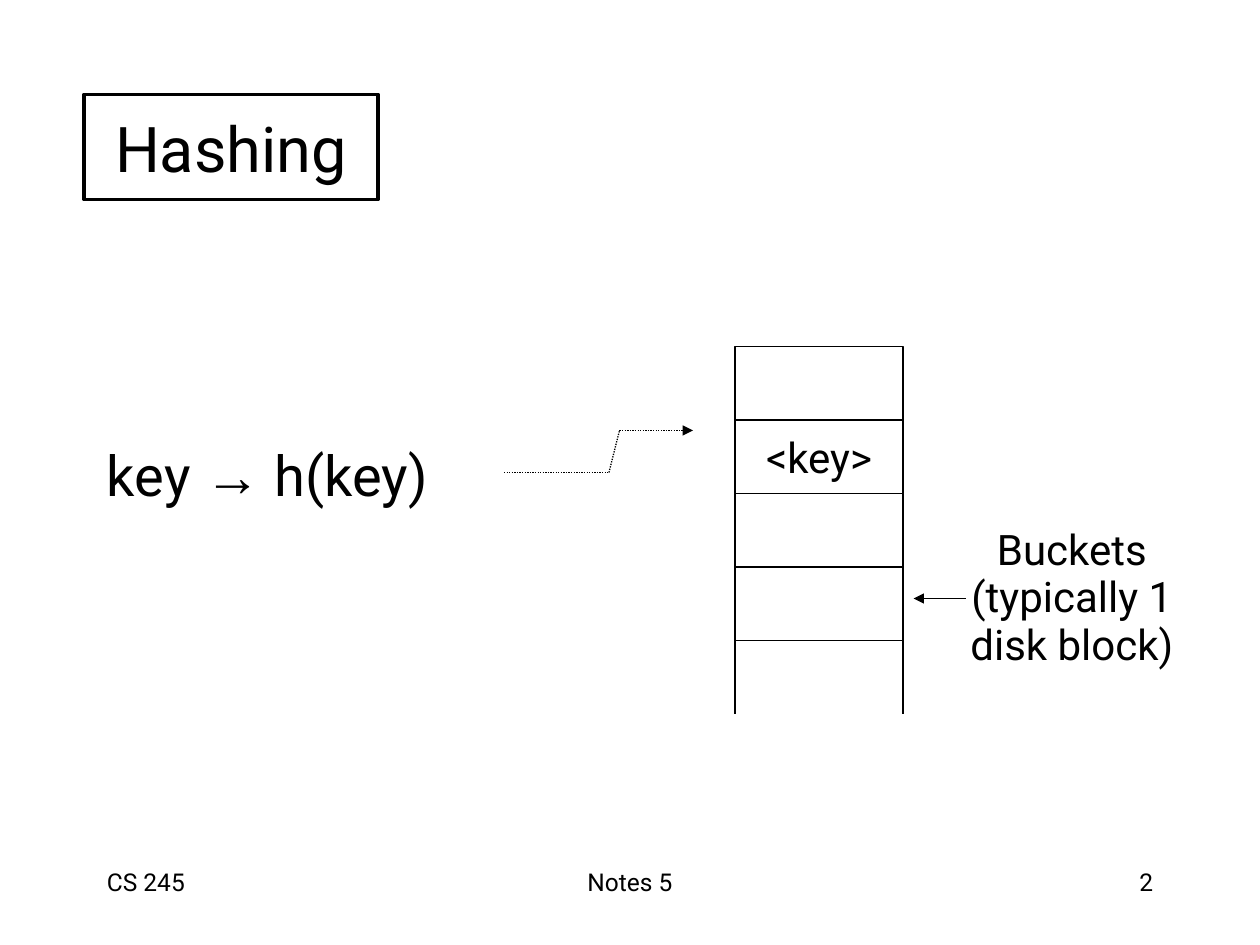
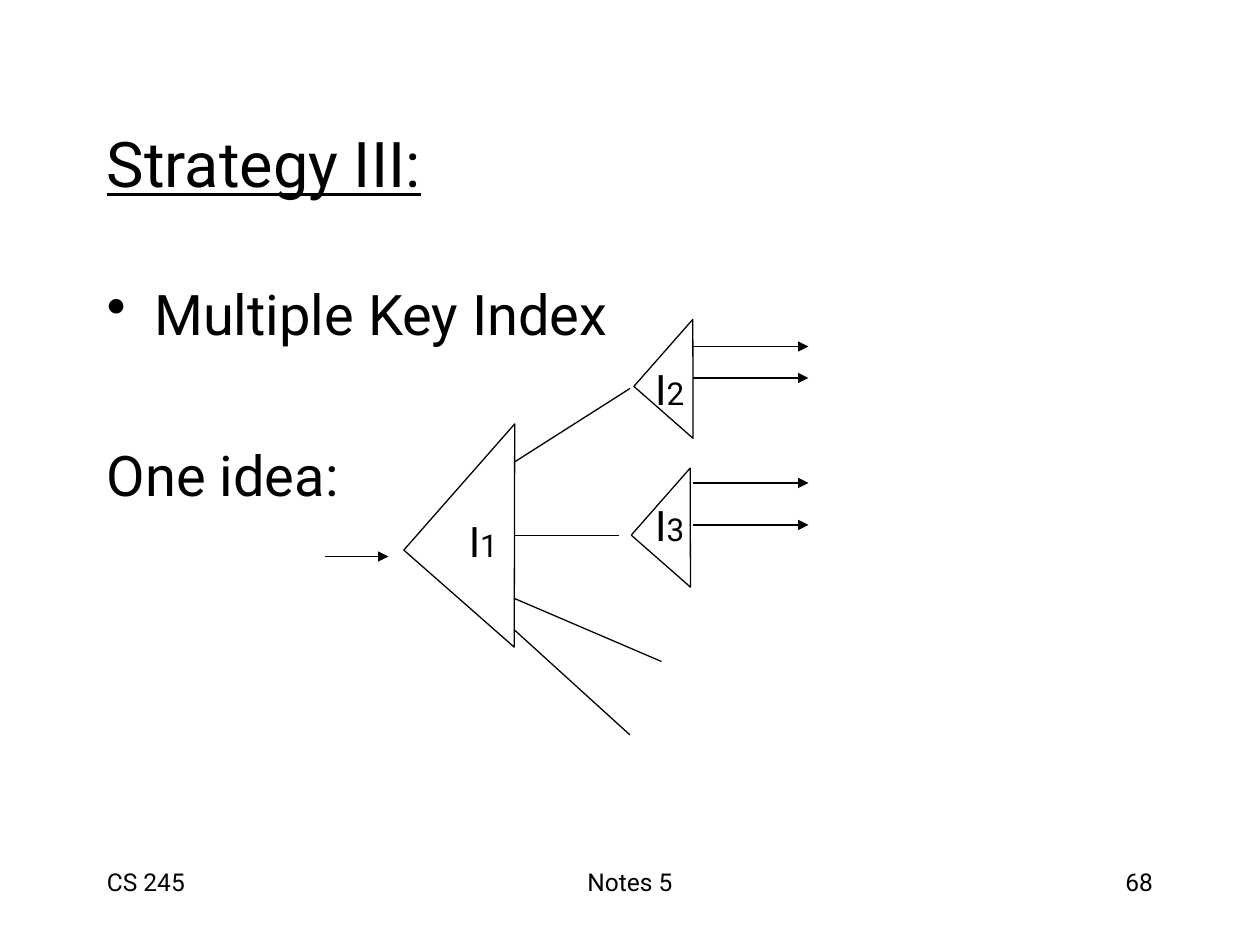
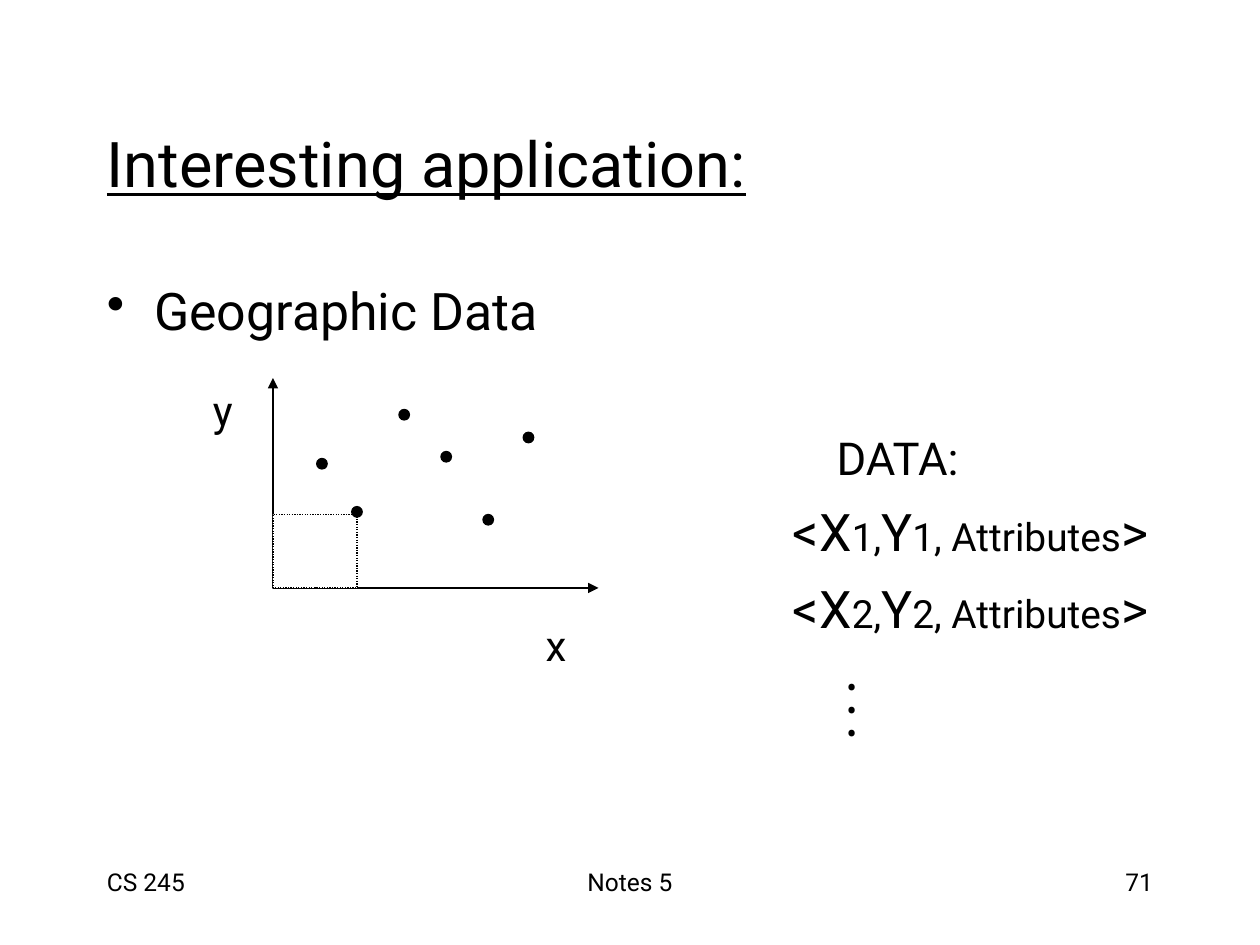
from dataclasses import dataclass

import pptx
import pptx.dml.color
import pptx.enum.dml
import pptx.enum.shapes
import pptx.enum.text
import pptx.oxml
import pptx.oxml.ns
import pptx.slide
import pptx.text.text
import pptx.util

Pt = pptx.util.Pt
RGB = pptx.dml.color.RGBColor
Align = pptx.enum.text.PP_ALIGN
Anchor = pptx.enum.text.MSO_ANCHOR
Kind = pptx.enum.shapes.MSO_SHAPE
Slide = pptx.slide.Slide
Point = tuple[float, float]


@dataclass(frozen=True)
class Theme:
    ink: RGB = RGB(0, 0, 0)
    paper: RGB = RGB(255, 255, 255)
    font: str = "Roboto"
    symbol: str = "Arial"
    title: float = 36
    body: float = 32
    label: float = 24
    index: float = 18
    foot: float = 14
    fit_body: float = 29.6
    fit_sub: float = 25.9
    fit_index: float = 22.2
    thin: float = 0.75
    thick: float = 2.25


THEME = Theme()


@dataclass(frozen=True)
class Box:
    left: float
    top: float
    width: float
    height: float


@dataclass(frozen=True)
class Bit:
    """A run of text in one size and font."""
    text: str
    size: float
    font: str = THEME.font
    bold: bool = False
    under: bool = False


@dataclass(frozen=True)
class Para:
    bits: tuple[Bit, ...]
    align: Align = Align.LEFT
    gap: float = 0
    indent: float = 0
    bullet: bool = False
    pitch: float = 0


@dataclass(frozen=True)
class Line:
    start: Point
    end: Point
    arrow: bool = False
    dotted: bool = False


TITLE = Box(54, 48, 612, 90)
BODY = Box(54, 156, 612, 324)
FOOT_TOP, FOOT_HIGH = 492, 36


def plain(text: str, size: float, **look) -> Para:
    return Para((Bit(text, size),), **look)


def center(text: str, size: float = THEME.label, **look) -> Para:
    return plain(text, size, align=Align.CENTER, **look)


def add_bullet(para: pptx.text.text._Paragraph) -> None:
    props = para._p.get_or_add_pPr()
    props.set("indent", str(-int(props.get("marL"))))
    mark = pptx.oxml.ns.qn("a:buChar")
    props.append(props.makeelement(mark, {"char": "•"}))


def fill_text(frame: pptx.text.text.TextFrame, paras: list[Para]) -> None:
    for i, item in enumerate(paras):
        para = frame.paragraphs[0] if i == 0 else frame.add_paragraph()
        if item.indent:
            para._p.get_or_add_pPr().set("marL", str(Pt(item.indent)))
        if item.bullet:
            add_bullet(para)
        para.alignment = item.align
        if item.gap:
            para.space_before = Pt(item.gap)
        if item.pitch:
            para.line_spacing = Pt(item.pitch)
        for bit in item.bits:
            run = para.add_run()
            run.text = bit.text
            run.font.name = bit.font
            run.font.size = Pt(bit.size)
            run.font.bold = bit.bold
            run.font.underline = bit.under
            run.font.color.rgb = THEME.ink


def place(box: Box) -> list[pptx.util.Length]:
    return [Pt(n) for n in (box.left, box.top, box.width, box.height)]


def add_text(slide: Slide, box: Box, paras: list[Para], anchor: Anchor = Anchor.TOP,
             pad: float = 3.6, wrap: bool = True, turn: float = 0) -> None:
    shape = slide.shapes.add_textbox(*place(box))
    shape.rotation = turn
    frame = shape.text_frame
    frame.word_wrap = wrap
    frame.vertical_anchor = anchor
    frame.margin_top = Pt(pad)
    fill_text(frame, paras)


def add_label(slide: Slide, box: Box, *paras: Para, turn: float = 0) -> None:
    add_text(slide, box, list(paras), Anchor.MIDDLE, wrap=False, turn=turn)


def add_shape(slide: Slide, kind: Kind, box: Box, fill: RGB = THEME.paper,
              width: float = THEME.thin, turn: float = 0, dotted: bool = False,
              label: Para | None = None) -> None:
    shape = slide.shapes.add_shape(kind, *place(box))
    shape.shadow.inherit = False
    shape.rotation = turn
    shape.fill.solid()
    shape.fill.fore_color.rgb = fill
    shape.line.color.rgb = THEME.ink
    shape.line.width = Pt(width)
    if dotted:
        shape.line.dash_style = pptx.enum.dml.MSO_LINE.ROUND_DOT
    if label:
        shape.text_frame.word_wrap = False
        shape.text_frame.vertical_anchor = Anchor.MIDDLE
        fill_text(shape.text_frame, [label])


def add_lines(slide: Slide, lines: list[Line]) -> None:
    for item in lines:
        ends = [Pt(n) for n in (*item.start, *item.end)]
        link = slide.shapes.add_connector(
            pptx.enum.shapes.MSO_CONNECTOR.STRAIGHT, *ends)
        link.line.color.rgb = THEME.ink
        link.line.width = Pt(THEME.thin)
        if item.dotted:
            link.line.dash_style = pptx.enum.dml.MSO_LINE.ROUND_DOT
        if item.arrow:
            stroke = link.line._get_or_add_ln()
            tail = pptx.oxml.ns.qn("a:tailEnd")
            stroke.append(stroke.makeelement(tail, {"type": "triangle"}))
        props = link._element.spPr
        props.append(props.makeelement(pptx.oxml.ns.qn("a:effectLst"), {}))


def new_slide(deck, number: int, title: str = "") -> Slide:
    """Add a blank slide with its footers and, if given, its title."""
    slide = deck.slides.add_slide(deck.slide_layouts[6])
    for text, left, width, align in (("CS 245", 54, 150, Align.LEFT),
                                     ("Notes 5", 246, 228, Align.CENTER),
                                     (str(number), 516, 150, Align.RIGHT)):
        add_text(slide, Box(left, FOOT_TOP, width, FOOT_HIGH),
                 [plain(text, THEME.foot, align=align)])
    if title:
        head = Para((Bit(title, THEME.title, under=True),))
        add_text(slide, TITLE, [head], Anchor.MIDDLE)
    return slide


def draw_hashing(deck) -> None:
    slide = new_slide(deck, 2)
    key = Para((Bit("key ", THEME.body), Bit("→", THEME.body, THEME.symbol),
                Bit(" h(key)", THEME.body)))
    add_text(slide, BODY, [key], pad=96)
    add_shape(slide, Kind.RECTANGLE, Box(48, 54, 168, 60), width=THEME.thick,
              label=center("Hashing", THEME.title))

    left, top, width, height, count = 420, 198, 96, 42, 4
    for row in range(count):
        add_shape(slide, Kind.RECTANGLE, Box(left, top + row * height, width, height),
                  label=center("<key>") if row == 1 else None)
    base = top + count * height
    add_lines(slide, [Line((x, base), (x, base + height)) for x in (left, left + width)])

    add_label(slide, Box(546, 297, 133, 89),
              *(center(text, pitch=27)
                for text in ("Buckets", "(typically 1", "disk block)")))
    bends = [(288, 270), (348, 270), (354, 246), (396, 246)]
    add_lines(slide, [Line((552, 342), (522, 342), arrow=True)]
              + [Line(a, b, arrow=b == bends[-1], dotted=True)
                 for a, b in zip(bends, bends[1:])])


def draw_index(deck) -> None:
    slide = new_slide(deck, 68, "Strategy III:")
    add_text(slide, BODY, [
        plain("Multiple Key Index", THEME.body, indent=27, bullet=True),
        plain("One idea:", THEME.body, gap=54),
    ])
    for box in (Box(252, 258, 84, 96), Box(373.5, 191, 45, 51), Box(372, 276, 45, 51)):
        add_shape(slide, Kind.RIGHT_TRIANGLE, box, turn=41.3)
    for digit, left, top in (("1", 260, 291), ("2", 366.5, 204), ("3", 366.5, 282)):
        name = Para((Bit("I", THEME.label), Bit(digit, THEME.index)), Align.CENTER)
        add_label(slide, Box(left, top, 32.4, 36), name)

    root, leaf = 294, 396
    branches = ((264, (360, 222)), (306, (354, 306)), (342, (378, 378)), (360, (360, 420)))
    add_lines(slide, [Line((186, 318), (222, 318), arrow=True)]
              + [Line((root, y), end) for y, end in branches]
              + [Line((leaf, y), (leaf + 66, y), arrow=True)
                 for y in (198, 216, 276, 300)])


def data_row(digit: str, gap: float) -> Para:
    big, small = THEME.fit_body, THEME.fit_index
    return Para((Bit("<X", big), Bit(f"{digit},", small), Bit("Y", big),
                 Bit(f"{digit}, Attributes", small), Bit(">", big)),
                gap=gap, indent=392)


def draw_map(deck) -> None:
    slide = new_slide(deck, 71, "Interesting application:")
    add_text(slide, Box(54, 156, 636, 234), [
        plain("Geographic Data", THEME.fit_body, indent=27, bullet=True),
        plain("DATA:", THEME.fit_sub, gap=51, indent=417),
        data_row("1", 8.5),
        data_row("2", 8.5),
    ])
    zero = (156, 336)
    add_lines(slide, [Line(zero, end, arrow=True) for end in ((156, 216), (342, 336))])
    add_shape(slide, Kind.RECTANGLE, Box(156, 294, 48, 42), dotted=True)
    for name, left, top in (("x", 304.5, 350.5), ("y", 114, 216)):
        add_label(slide, Box(left, top, 26.6, 36), center(name))
    for left, top in ((228, 234), (276, 294), (252, 258),
                      (299, 247), (201, 289.5), (181, 262)):
        add_shape(slide, Kind.OVAL, Box(left, top, 6, 6), fill=THEME.ink)
    dots = Para((Bit(". . .", THEME.label, bold=True),), Align.CENTER)
    add_label(slide, Box(455, 388, 47.5, 36), dots, turn=270)


def main() -> None:
    deck = pptx.Presentation()
    deck.slide_width, deck.slide_height = Pt(720), Pt(540)
    draw_hashing(deck)
    draw_index(deck)
    draw_map(deck)
    deck.save("out.pptx")


if __name__ == "__main__":
    main()
